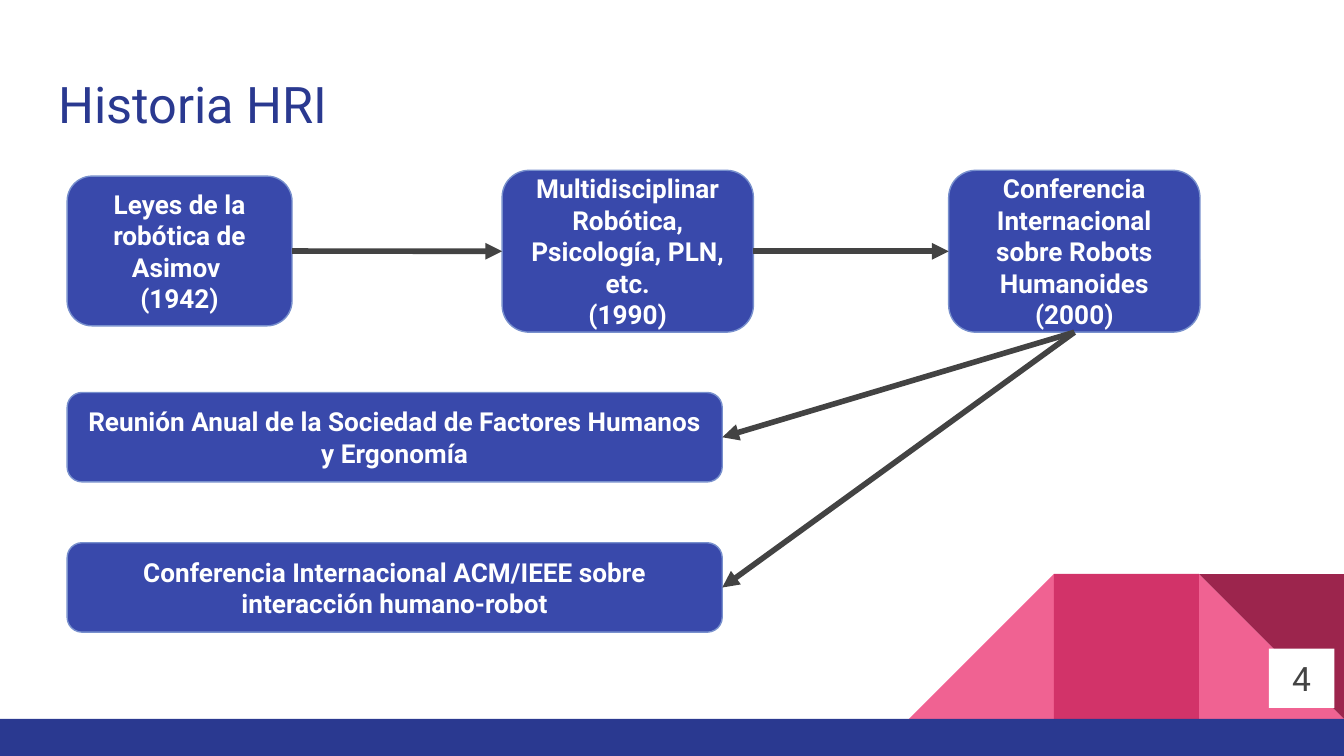
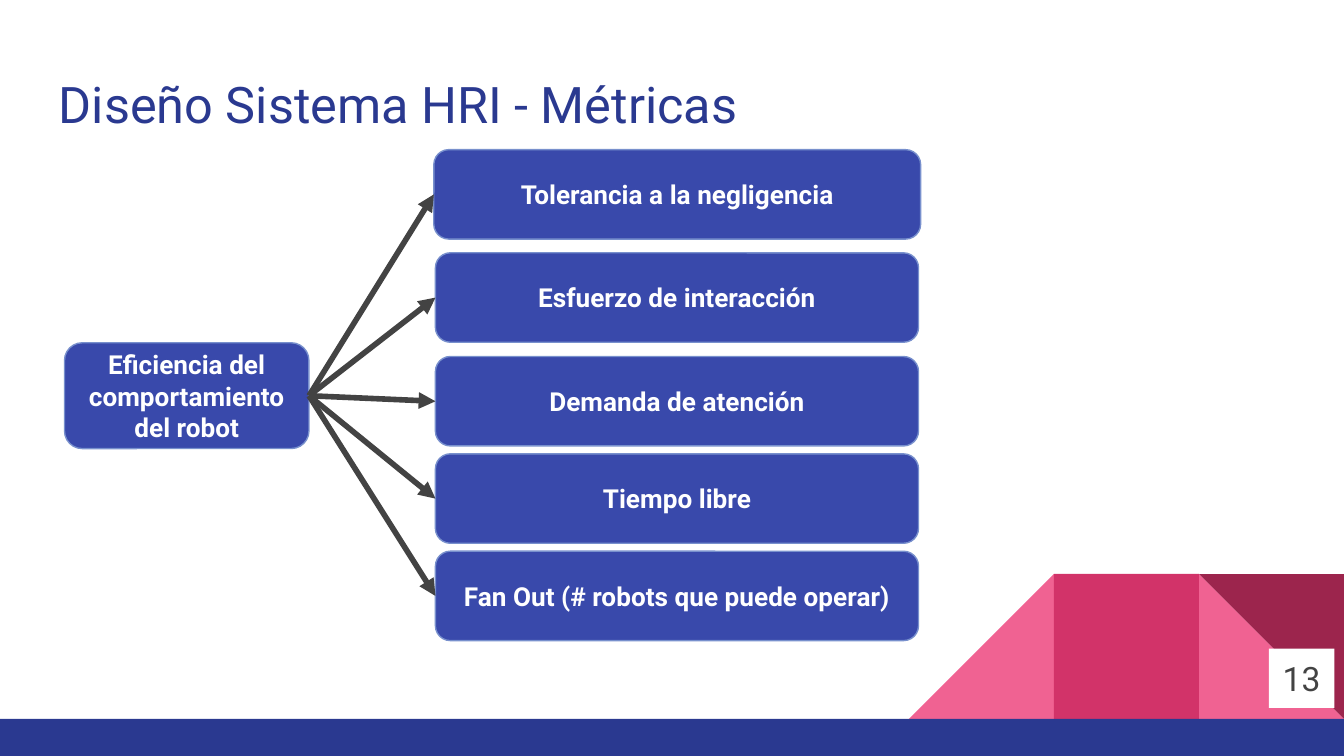
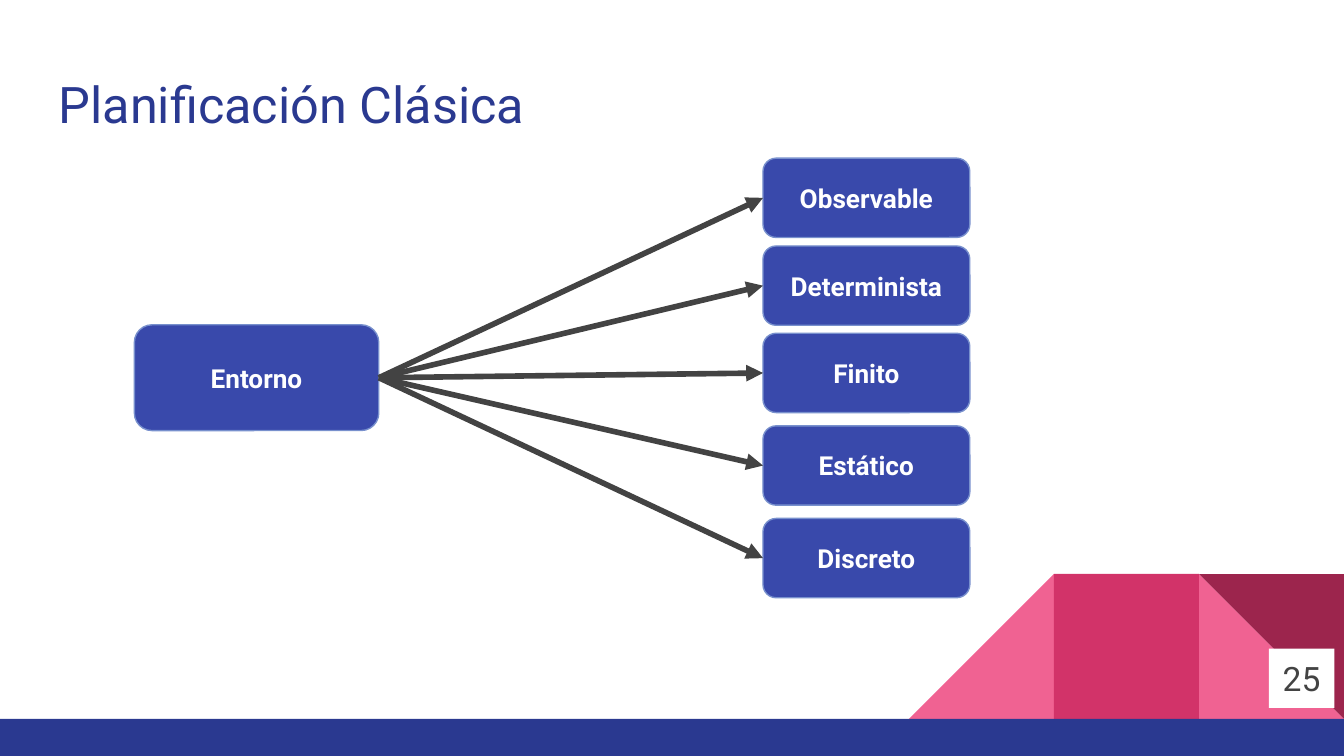
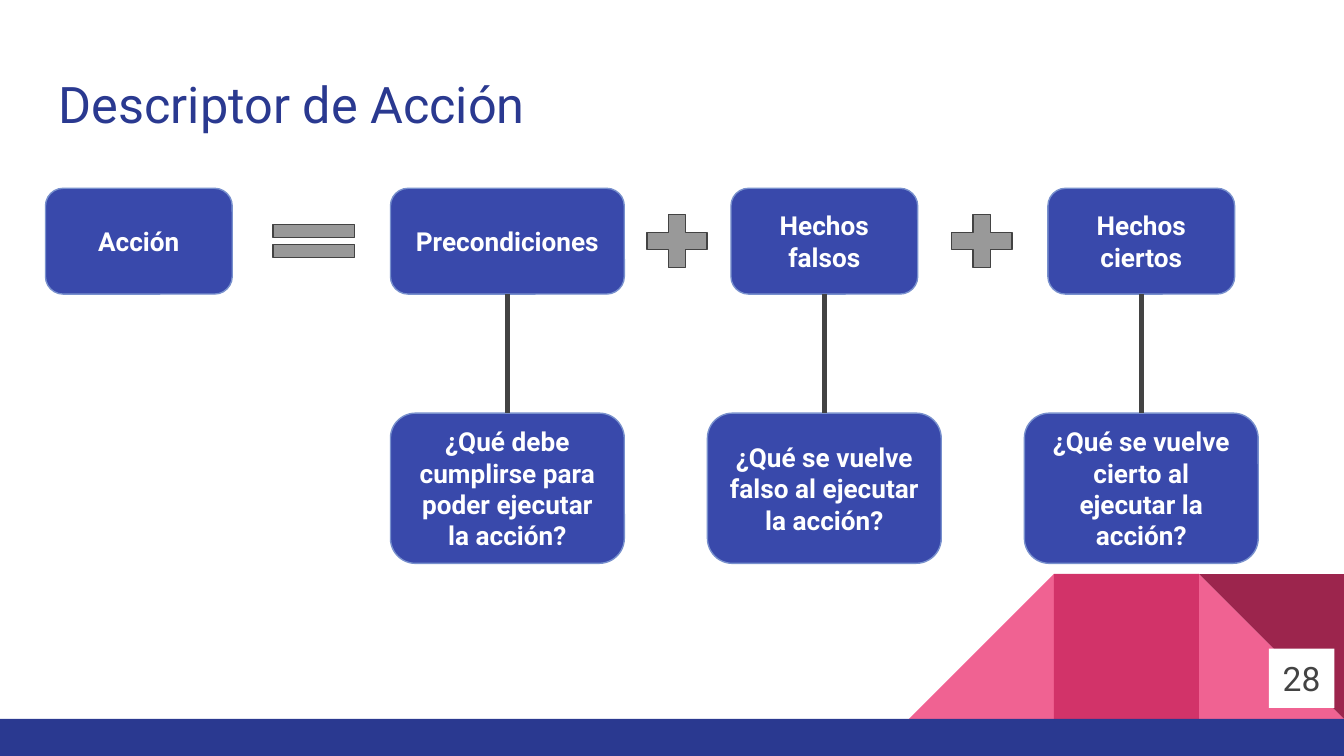
from dataclasses import dataclass

from lxml import etree
from pptx import Presentation
from pptx.dml.color import RGBColor
from pptx.enum.shapes import MSO_CONNECTOR, MSO_SHAPE
from pptx.enum.text import MSO_ANCHOR, MSO_AUTO_SIZE, PP_ALIGN
from pptx.oxml.ns import qn
from pptx.util import Cm, Pt

STRAIGHT = MSO_CONNECTOR.STRAIGHT
RECTANGLE, ROUNDED = MSO_SHAPE.RECTANGLE, MSO_SHAPE.ROUNDED_RECTANGLE
TRIANGLE = MSO_SHAPE.RIGHT_TRIANGLE
EQUAL, PLUS = MSO_SHAPE.MATH_EQUAL, MSO_SHAPE.MATH_PLUS
LEFT, CENTER = PP_ALIGN.LEFT, PP_ALIGN.CENTER
TOP_ANCHOR, MIDDLE = MSO_ANCHOR.TOP, MSO_ANCHOR.MIDDLE
TITLE_ONLY = 5
TOP_SIDE, LEFT_SIDE, BOTTOM_SIDE, RIGHT_SIDE = range(4)


@dataclass(frozen=True)
class Theme:
    font: str = "Roboto"
    navy: str = "2A3990"
    box: str = "3949AB"
    box_edge: str = "7890CD"
    pink: str = "F06292"
    crimson: str = "D23369"
    wine: str = "9C254D"
    dark: str = "434343"
    gray: str = "999999"
    white: str = "FFFFFF"
    title_size: float = 27
    number_size: float = 18
    box_size: float = 14
    edge_width: float = 0.75
    link_width: float = 3


THEME = Theme()

# All places are (left, top, width, height) in centimetres.
SLIDE_SIZE = (25.4, 14.29)
TITLE_PLACE = (0.86, 1.14, 23.67, 1.68)
NUMBER_PLACE = (23.98, 12.26, 1.24, 1.12)
ROOF_LEFT, ROOF_TOP, ROOF_SIDE = 17.18, 10.85, 2.74

HISTORY = {
    "title": "Historia HRI",
    "number": 4,
    "milestones": [
        ((1.27, 3.33, 4.25, 2.83), ["Leyes de la robótica de Asimov ", "(1942)"]),
        ((9.49, 3.22, 4.75, 3.06),
         ["Multidisciplinar", "Robótica, Psicología, PLN, etc.", "(1990)"]),
        ((17.93, 3.22, 4.75, 3.06),
         ["Conferencia Internacional sobre Robots Humanoides", "(2000)"]),
    ],
    "events": [
        ((1.27, 7.42, 12.38, 1.69),
         ["Reunión Anual de la Sociedad de Factores Humanos y Ergonomía"]),
        ((1.27, 10.26, 12.38, 1.69),
         ["Conferencia Internacional ACM/IEEE sobre interacción humano-robot"]),
    ],
}

METRICS = {
    "title": "Diseño Sistema HRI - Métricas",
    "number": 13,
    "hub": ((1.22, 6.48, 4.62, 2), ["Eficiencia del comportamiento del robot"]),
    "branches": [
        ((8.2, 2.83, 9.2, 1.69), ["Tolerancia a la negligencia"]),
        ((8.23, 4.78, 9.13, 1.69), ["Esfuerzo de interacción"]),
        ((8.23, 6.74, 9.13, 1.69), ["Demanda de atención"]),
        ((8.23, 8.58, 9.13, 1.69), ["Tiempo libre"]),
        ((8.23, 10.42, 9.13, 1.69), ["Fan Out (# robots que puede operar)"]),
    ],
}

PLANNING = {
    "title": "Planificación Clásica",
    "number": 25,
    "hub": ((2.54, 6.14, 4.62, 2), ["Entorno"]),
    "branches": [
        ((14.42, top, 3.91, 1.5), [name])
        for top, name in [
            (2.99, "Observable"), (4.65, "Determinista"), (6.3, "Finito"),
            (8.05, "Estático"), (9.8, "Discreto"),
        ]
    ],
}

ACTION = {
    "title": "Descriptor de Acción",
    "number": 28,
    "result": ((0.86, 3.56, 3.53, 2), ["Acción"]),
    "parts": [
        (4.42, "Precondiciones", "¿Qué debe cumplirse para poder ejecutar la acción?"),
        (3.53, "Hechos falsos", "¿Qué se vuelve falso al ejecutar la acción?"),
        (3.53, "Hechos ciertos", "¿Qué se vuelve cierto al ejecutar la acción?"),
    ],
    "operators": [
        (EQUAL, (4.88, 4.02, 2.1, 1.07)),
        (PLUS, (12.02, 3.87, 1.55, 1.37)),
        (PLUS, (17.78, 3.87, 1.55, 1.37)),
    ],
}
FIRST_PART_CENTER, PART_PITCH = 9.59, 5.99
PART_TOP, PART_HEIGHT = 3.56, 2
QUESTION_TOP, QUESTION_WIDTH, QUESTION_HEIGHT = 7.81, 4.42, 2.84


def rgb(color):
    return RGBColor.from_string(color)


def write(shape, lines, *, size, color, bold=False, align=CENTER, anchor=MIDDLE):
    frame = shape.text_frame
    frame.word_wrap = True
    frame.auto_size = MSO_AUTO_SIZE.NONE
    frame.vertical_anchor = anchor
    frame.margin_left = frame.margin_right = Cm(0.25)
    frame.margin_top = frame.margin_bottom = Cm(0.25)
    for index, line in enumerate(lines):
        paragraph = frame.paragraphs[0] if index == 0 else frame.add_paragraph()
        paragraph.alignment = align
        run = paragraph.add_run()
        run.text = line
        run.font.name = THEME.font
        run.font.size = Pt(size)
        run.font.bold = bold
        run.font.color.rgb = rgb(color)


def add_figure(slide, kind, place, fill, edge=None):
    shape = slide.shapes.add_shape(kind, *map(Cm, place))
    shape.shadow.inherit = False
    shape.fill.solid()
    shape.fill.fore_color.rgb = rgb(fill)
    if edge:
        shape.line.color.rgb = rgb(edge)
        shape.line.width = Pt(THEME.edge_width)
    else:
        shape.line.fill.background()
    return shape


def add_box(slide, place, lines):
    shape = add_figure(slide, ROUNDED, place, THEME.box, THEME.box_edge)
    write(shape, lines, size=THEME.box_size, color=THEME.white, bold=True)
    return shape


def link(slide, start, start_side, end, end_side, arrow=True):
    connector = slide.shapes.add_connector(STRAIGHT, 0, 0, 0, 0)
    connector.begin_connect(start, start_side)
    connector.end_connect(end, end_side)
    connector.line.color.rgb = rgb(THEME.dark)
    connector.line.width = Pt(THEME.link_width)
    properties = connector.element.spPr
    if arrow:
        etree.SubElement(properties.find(qn("a:ln")), qn("a:tailEnd"), type="triangle")
    etree.SubElement(properties, qn("a:effectLst"))


def prepare_layout(layout, slide):
    """Place the layout title and move the roof and the bottom band to the layout."""
    title = layout.placeholders[0]
    title.left, title.top, title.width, title.height = map(Cm, TITLE_PLACE)
    roof = [
        (2, TRIANGLE, 0, THEME.pink),
        (0, TRIANGLE, 270, THEME.pink),
        (1, RECTANGLE, 0, THEME.crimson),
        (2, TRIANGLE, 180, THEME.wine),
    ]
    decorations = []
    for column, kind, rotation, color in roof:
        place = (ROOF_LEFT + column * ROOF_SIDE, ROOF_TOP, ROOF_SIDE, ROOF_SIDE)
        shape = add_figure(slide, kind, place, color)
        shape.rotation = rotation
        decorations.append(shape)
    band_top = ROOF_TOP + ROOF_SIDE
    band = (0, band_top, SLIDE_SIZE[0], SLIDE_SIZE[1] - band_top)
    decorations.append(add_figure(slide, RECTANGLE, band, THEME.navy))
    for shape in decorations:
        layout.shapes.element.append(shape.element)


def draw_history(slide, content):
    milestones = [add_box(slide, *item) for item in content["milestones"]]
    for start, end in zip(milestones, milestones[1:]):
        link(slide, start, RIGHT_SIDE, end, LEFT_SIDE)
    for item in content["events"]:
        link(slide, milestones[-1], BOTTOM_SIDE, add_box(slide, *item), RIGHT_SIDE)


def draw_fan(slide, content):
    hub = add_box(slide, *content["hub"])
    for item in content["branches"]:
        link(slide, hub, RIGHT_SIDE, add_box(slide, *item), LEFT_SIDE)


def draw_action(slide, content):
    add_box(slide, *content["result"])
    for kind, place in content["operators"]:
        add_figure(slide, kind, place, THEME.gray, THEME.dark)
    for index, (width, name, question) in enumerate(content["parts"]):
        center = FIRST_PART_CENTER + index * PART_PITCH
        part = add_box(slide, (center - width / 2, PART_TOP, width, PART_HEIGHT), [name])
        answer = add_box(
            slide,
            (center - QUESTION_WIDTH / 2, QUESTION_TOP, QUESTION_WIDTH, QUESTION_HEIGHT),
            [question],
        )
        link(slide, part, BOTTOM_SIDE, answer, TOP_SIDE, arrow=False)


SLIDES = [
    (HISTORY, draw_history),
    (METRICS, draw_fan),
    (PLANNING, draw_fan),
    (ACTION, draw_action),
]


def main():
    presentation = Presentation()
    presentation.slide_width, presentation.slide_height = map(Cm, SLIDE_SIZE)
    layout = presentation.slide_layouts[TITLE_ONLY]
    for index, (content, draw) in enumerate(SLIDES):
        slide = presentation.slides.add_slide(layout)
        if index == 0:
            prepare_layout(layout, slide)
        write(slide.shapes.title, [content["title"]], size=THEME.title_size,
              color=THEME.navy, align=LEFT, anchor=TOP_ANCHOR)
        draw(slide, content)
        number = add_figure(slide, RECTANGLE, NUMBER_PLACE, THEME.white)
        write(number, [str(content["number"])], size=THEME.number_size, color=THEME.dark)
    presentation.save("out.pptx")


if __name__ == "__main__":
    main()
